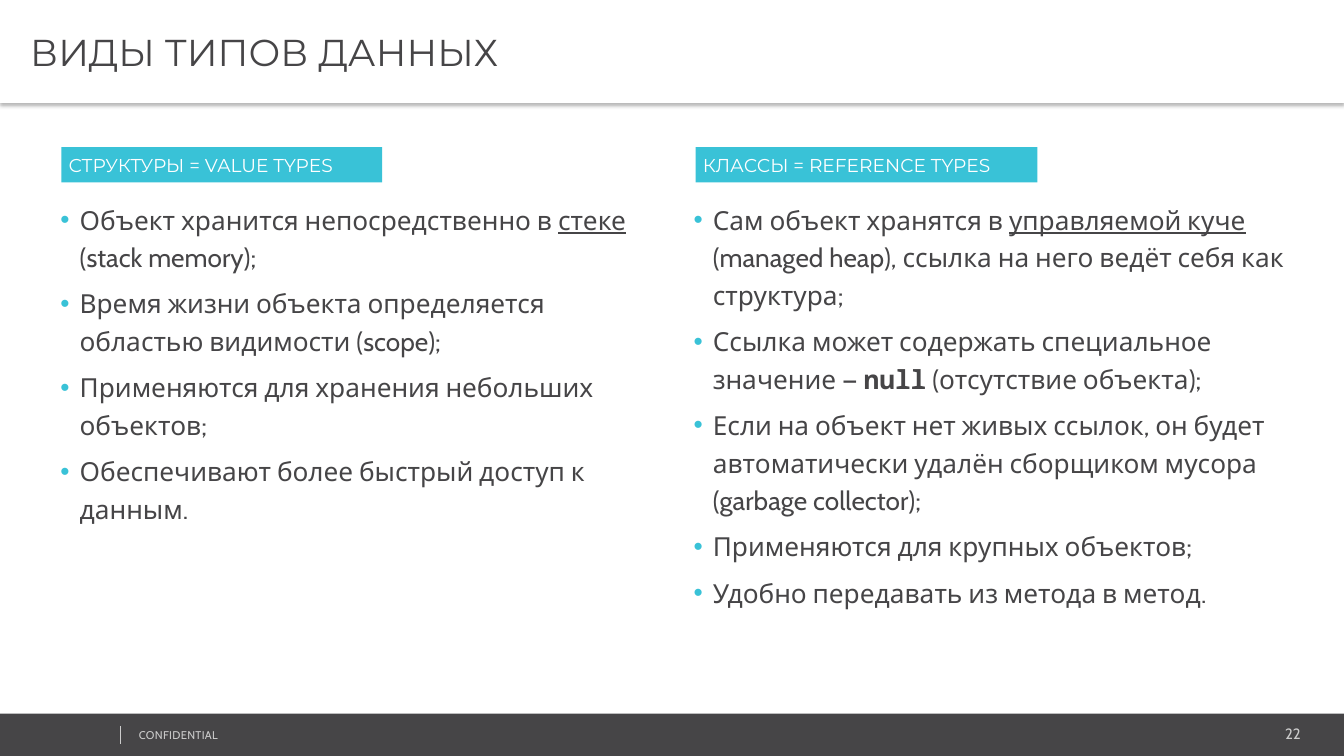
from lxml import etree
from pptx import Presentation
from pptx.dml.color import RGBColor
from pptx.enum.shapes import MSO_CONNECTOR, MSO_SHAPE
from pptx.enum.text import MSO_ANCHOR, MSO_AUTO_SIZE, PP_ALIGN
from pptx.oxml import parse_xml
from pptx.oxml.ns import nsdecls, qn
from pptx.util import Inches, Pt

DARK = RGBColor(0x46, 0x45, 0x47)
CYAN = RGBColor(0x39, 0xC2, 0xD7)
GREY = RGBColor(0xCC, 0xCC, 0xCC)
WHITE = RGBColor(0xFF, 0xFF, 0xFF)
RECT = MSO_SHAPE.RECTANGLE
STRAIGHT = MSO_CONNECTOR.STRAIGHT
MIDDLE = MSO_ANCHOR.MIDDLE
NO_FIT = MSO_AUTO_SIZE.NONE
LEFT, RIGHT = PP_ALIGN.LEFT, PP_ALIGN.RIGHT

COLUMNS = [
    (0.53, 0.61, 3.18, "СТРУКТУРЫ = VALUE TYPES", [
        [("Объект хранится непосредственно в ", ""), ("стеке", "underline"),
         (" (stack memory);", "")],
        [("Время жизни объекта определяется областью видимости (scope);", "")],
        [("Применяются для хранения небольших объектов;", "")],
        [("Обеспечивают более быстрый доступ к данным.", "")],
    ]),
    (6.81, 6.9, 3.39, "КЛАССЫ = REFERENCE TYPES", [
        [("Сам объект хранятся в ", ""), ("управляемой куче", "underline"),
         (" (managed heap), ссылка на него ведёт себя как структура;", "")],
        [("Ссылка может содержать специальное значение — ", ""), ("null", "code"),
         (" (отсутствие объекта);", "")],
        [("Если на объект нет живых ссылок, он будет автоматически удалён "
          "сборщиком мусора (garbage collector);", "")],
        [("Применяются для крупных объектов;", "")],
        [("Удобно передавать из метода в метод.", "")],
    ]),
]


def set_font(r, name, size, color):
    r.font.name = name
    r.font.size = Pt(size)
    r.font.color.rgb = color


def set_frame(tf, left=0.07, top=0.04):
    tf.word_wrap = True
    tf.auto_size = NO_FIT
    tf.margin_left, tf.margin_right = Inches(left), Inches(0.07)
    tf.margin_top = tf.margin_bottom = Inches(top)


prs = Presentation()
prs.slide_width, prs.slide_height = Inches(13.33), Inches(7.5)
s = prs.slides.add_slide(prs.slide_layouts[5])

title = s.shapes.title
title.left, title.top = Inches(0), Inches(0)
title.width, title.height = prs.slide_width, Inches(1.02)
title.fill.solid()
title.fill.fore_color.rgb = WHITE
title._element.spPr.append(parse_xml(
    f'<a:effectLst {nsdecls("a")}><a:outerShdw blurRad="{Pt(3.1)}" dist="{Pt(2)}" '
    'dir="5400000" algn="t" rotWithShape="0"><a:srgbClr val="000000">'
    '<a:alpha val="30000"/></a:srgbClr></a:outerShdw></a:effectLst>'))
tf = title.text_frame
set_frame(tf, left=0.3)
tf.vertical_anchor = MIDDLE
tf.text = "ВИДЫ ТИПОВ ДАННЫХ"
tf.paragraphs[0].alignment = LEFT
set_font(tf.paragraphs[0].runs[0], "Montserrat", 26.7, DARK)

footer = s.shapes.add_shape(RECT, Inches(0), Inches(7.08), prs.slide_width, Inches(0.42))
footer.shadow.inherit = False
footer.fill.solid()
footer.fill.fore_color.rgb = DARK
footer.line.fill.background()

for x, y, w, h, text, size, align in [
    (10.82, 7.14, 2.18, 0.28, "22", 10.7, RIGHT),
    (1.28, 7.18, 3.38, 0.24, "CONFIDENTIAL", 8, LEFT),
]:
    sp = s.shapes.add_textbox(Inches(x), Inches(y), Inches(w), Inches(h))
    tf = sp.text_frame
    set_frame(tf, left=0.1, top=0.05)
    tf.margin_right = Inches(0.1)
    tf.text = text
    tf.paragraphs[0].alignment = align
    set_font(tf.paragraphs[0].runs[0], "Cabin", size, GREY)
tf.paragraphs[0].runs[0].font._element.set("spc", "20")

divider = s.shapes.add_connector(STRAIGHT, Inches(1.19), Inches(7.2), Inches(1.19), Inches(7.38))
divider.line.color.rgb = GREY
divider.line.width = Pt(0.25)
etree.SubElement(divider._element.spPr, qn("a:effectLst"))

for body_x, label_x, label_w, label, bullets in COLUMNS:
    sp = s.shapes.add_shape(RECT, Inches(label_x), Inches(1.46), Inches(label_w), Inches(0.35))
    sp.shadow.inherit = False
    sp.fill.solid()
    sp.fill.fore_color.rgb = CYAN
    sp.line.fill.background()
    tf = sp.text_frame
    set_frame(tf, top=0.06)
    tf.vertical_anchor = MIDDLE
    tf.text = label
    tf.paragraphs[0].alignment = LEFT
    set_font(tf.paragraphs[0].runs[0], "Montserrat", 13.3, WHITE)

    sp = s.shapes.add_textbox(Inches(body_x), Inches(1.92), Inches(6.11), Inches(4.59))
    tf = sp.text_frame
    set_frame(tf)
    for i, parts in enumerate(bullets):
        p = tf.add_paragraph() if i else tf.paragraphs[0]
        p.line_spacing = 1.2
        p.space_before = Pt(6)
        pPr = p._p.get_or_add_pPr()
        pPr.set("marL", str(Inches(0.19)))
        pPr.set("indent", str(Inches(-0.19)))
        color = etree.SubElement(pPr, qn("a:buClr"))
        etree.SubElement(color, qn("a:srgbClr"), val=str(CYAN))
        etree.SubElement(pPr, qn("a:buFont"), typeface="Arial")
        etree.SubElement(pPr, qn("a:buChar"), char="•")
        for text, style in parts:
            r = p.add_run()
            r.text = text
            set_font(r, "Noto Sans Mono" if style == "code" else "Cabin", 18.7, DARK)
            r.font.bold = style == "code"
            r.font.underline = style == "underline"

prs.save("out.pptx")
